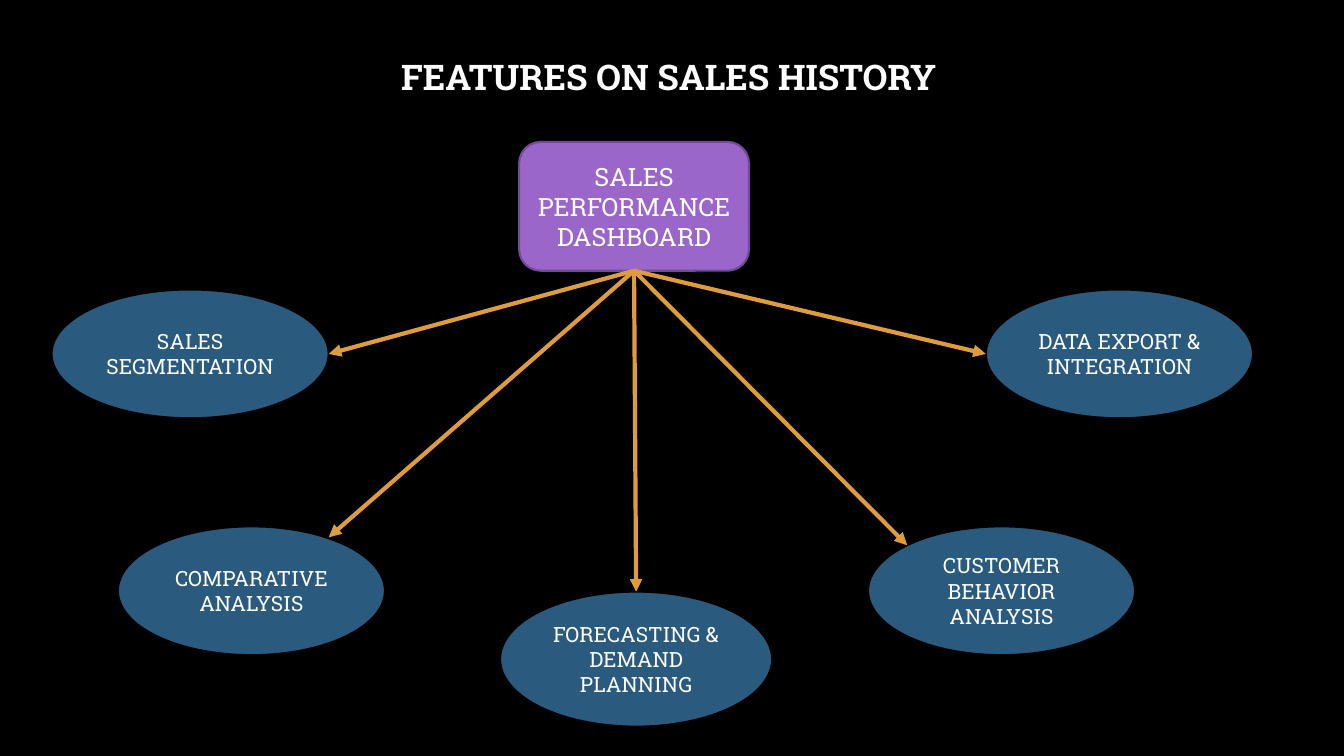
from lxml.etree import SubElement as Sub
from pptx import Presentation
from pptx.dml.color import RGBColor as RGB
from pptx.enum.shapes import MSO_CONNECTOR as Conn, MSO_SHAPE as Kind
from pptx.enum.text import MSO_ANCHOR as Anchor, MSO_AUTO_SIZE as Auto, PP_ALIGN as Align
from pptx.oxml.ns import qn
from pptx.util import Pt

# Content: boxes are left, top, width, height in points
title = ("FEATURES ON SALES HISTORY", (249.8, 29.5, 455.8, 54))
hub = ("SALES PERFORMANCE DASHBOARD", (370.8, 101.4, 164.2, 92))
# Each feature: text, box, arrow tip
features = [
    ("SALES SEGMENTATION", (36.8, 206.8, 198, 92), (234.8, 252.8)),
    ("COMPARATIVE ANALYSIS", (84.2, 376, 190.8, 92), (234.8, 383.8)),
    ("FORECASTING & DEMAND PLANNING", (357.2, 422.6, 194.4, 96.5), (454.4, 422.6)),
    ("CUSTOMER BEHAVIOR ANALYSIS", (620, 376, 190.8, 92), (648, 389.5)),
    ("DATA EXPORT & INTEGRATION", (704.2, 206.8, 190.8, 92), (704.2, 252.8)),
]

theme = dict(
    font="Roboto Slab",
    back="000000", text="FFFFFF", arrow="DE9C3C",
    hub=("9A66CA", "724B95"), leaf=("2A5B7F", "000000"),
    head=25.2, big=18, small=15, edge=1.5, stem=3,
)


def color(name):
    return RGB.from_string(name)


def put(item, **values):
    for key, value in values.items():
        setattr(item, key, value)


def place(shape, box):
    put(shape, **dict(zip(("left", "top", "width", "height"), map(Pt, box))))


def write(shape, text, size, bold=False, space=1.0):
    frame = shape.text_frame
    put(frame, text=text, word_wrap=True, auto_size=Auto.NONE,
        vertical_anchor=Anchor.MIDDLE)
    line = frame.paragraphs[0]
    put(line, alignment=Align.CENTER, line_spacing=space)
    font = line.runs[0].font
    put(font, name=theme["font"], size=Pt(size), bold=bold)
    font.color.rgb = color(theme["text"])


def node(kind, text, box, paint, size):
    shape = slide.shapes.add_shape(kind, *map(Pt, box))
    shape.shadow.inherit = False
    shape.fill.solid()
    shape.fill.fore_color.rgb = color(paint[0])
    shape.line.color.rgb = color(paint[1])
    shape.line.width = Pt(theme["edge"])
    write(shape, text, size)
    return shape


def arrow(root, tip):
    link = slide.shapes.add_connector(Conn.STRAIGHT, 0, 0, *map(Pt, tip))
    link.begin_connect(root, 2)  # bottom centre
    link.line.color.rgb = color(theme["arrow"])
    link.line.width = Pt(theme["stem"])
    props = link._element.spPr
    Sub(props.find(qn("a:ln")), qn("a:tailEnd"), type="triangle")
    Sub(props, qn("a:effectLst"))


# Slide and background
deck = Presentation()
put(deck, slide_width=Pt(960), slide_height=Pt(540))
slide = deck.slides.add_slide(deck.slide_layouts[5])
slide.background.fill.solid()
slide.background.fill.fore_color.rgb = color(theme["back"])

# Title
place(slide.shapes.title, title[1])
write(slide.shapes.title, title[0], theme["head"], bold=True, space=0.9)

# Hub and features
root = node(Kind.ROUNDED_RECTANGLE, *hub, theme["hub"], theme["big"])
for text, box, tip in features:
    node(Kind.OVAL, text, box, theme["leaf"], theme["small"])

# Arrows from the hub
for text, box, tip in features:
    arrow(root, tip)

deck.save("out.pptx")
